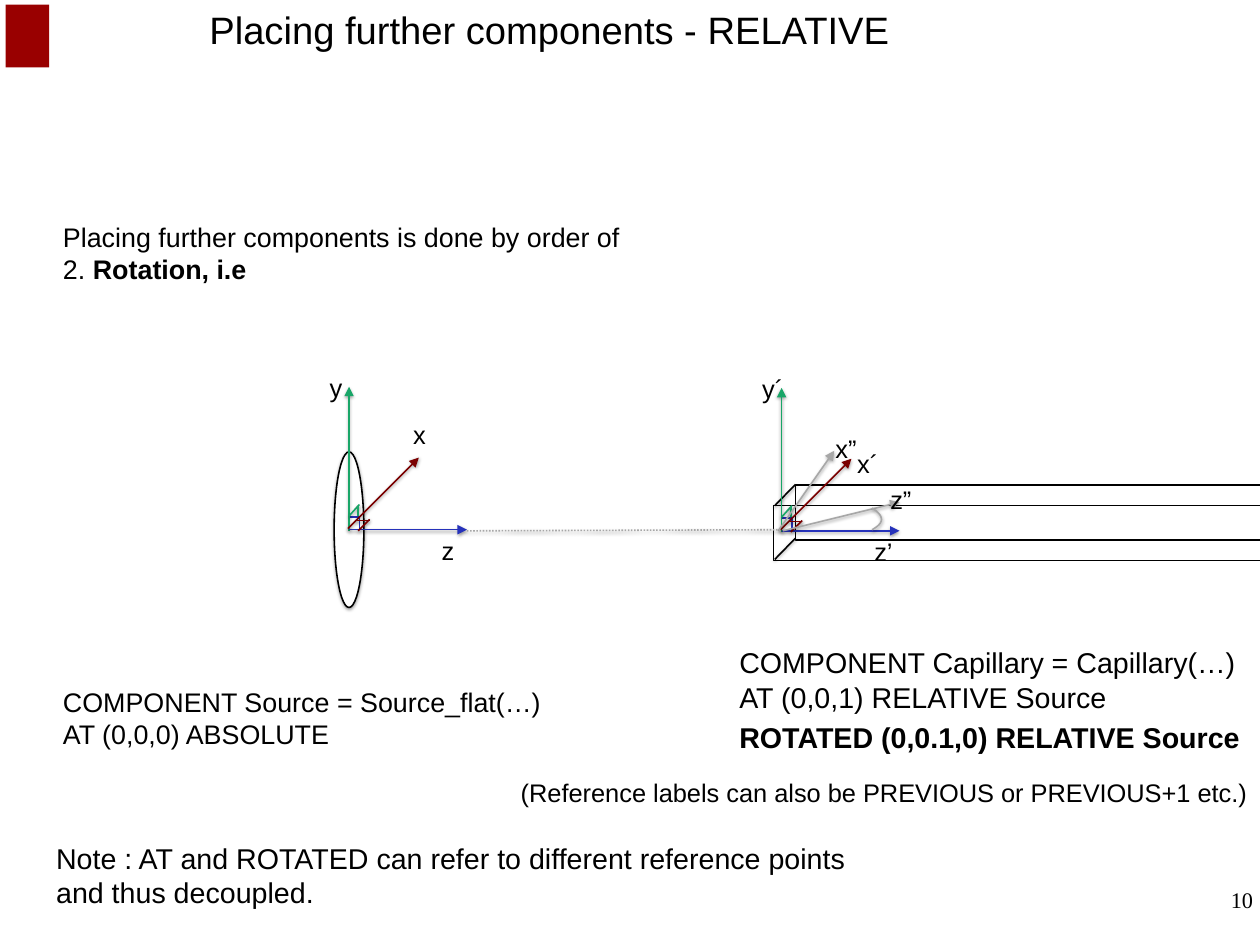
"""Build the slide on placing components relative to a source."""
from pptx import Presentation
from pptx import util as u
from pptx.dml.color import RGBColor
from pptx.enum import dml, shapes, text
from pptx.oxml import parse_xml
from pptx.oxml.ns import nsdecls, qn

CELL = u.Inches(0.01)
COLUMNS, ROWS = 1101, 826
BLACK, WHITE, GREY = "000000", "FFFFFF", "A7A7A7"
GREEN, BLUE, RED = "19A668", "2632BB", "7A0000"
colour = RGBColor.from_string

presentation = Presentation()
presentation.slide_width = COLUMNS * CELL
presentation.slide_height = ROWS * CELL
slide = presentation.slides.add_slide(presentation.slide_layouts[1])
shadowed = []


def write(shape, wording, size, wrap=False, margin=0, font="Arial"):
    """Fill a shape with plain text and return its frame."""
    frame = shape.text_frame
    frame.text = wording
    frame.word_wrap = wrap
    frame.auto_size = text.MSO_AUTO_SIZE.NONE
    frame.margin_left = frame.margin_right = margin * CELL
    frame.margin_top = frame.margin_bottom = margin * CELL
    for paragraph in frame.paragraphs:
        for run in paragraph.runs:
            run.font.size = u.Pt(size)
            run.font.name = font
            run.font.color.rgb = colour(BLACK)
    return frame


def draw_line(start, end, stroke, arrow=False, dash=None):
    """Draw a shadowed line between two grid points."""
    line = slide.shapes.add_connector(
        shapes.MSO_CONNECTOR.STRAIGHT, *(n * CELL for n in (*start, *end)))
    line.line.color.rgb = colour(stroke)
    line.line.width = u.Pt(1)
    if dash:
        line.line.dash_style = dash
    if arrow:
        outline = line.element.spPr.find(qn("a:ln"))
        outline.append(parse_xml(f'<a:tailEnd type="triangle" {nsdecls("a")}/>'))
    shadowed.append(line)


title = slide.shapes.title
title.left, title.top, title.width, title.height = (n * CELL for n in (157, -4, 646, 59))
frame = write(title, "Placing further components - RELATIVE", 24, wrap=True)
frame.vertical_anchor = text.MSO_ANCHOR.MIDDLE
frame.paragraphs[0].alignment = text.PP_ALIGN.CENTER

body = slide.placeholders[1]
body.left, body.top, body.width, body.height = (n * CELL for n in (55, 193, 992, 479))
frame = write(body, "Placing further components is done by order of\v2. Rotation, i.e\n"
              "COMPONENT Source = Source_flat(…)\vAT (0,0,0) ABSOLUTE", 16.9, wrap=True)
for paragraph, gap in zip(frame.paragraphs, (0, 252)):
    properties = paragraph._p.get_or_add_pPr()
    properties.set("marL", "0")
    properties.set("indent", "0")
    properties.append(parse_xml(f'<a:buNone {nsdecls("a")}/>'))
    paragraph.space_before = u.Pt(gap)
numbered = frame.paragraphs[0].runs[1]
numbered.text = "2. "
rotation = frame.paragraphs[0].add_run()
rotation.text = "Rotation, i.e"
rotation.font.size, rotation.font.name, rotation.font.bold = u.Pt(16.9), "Arial", True
rotation.font.color.rgb = colour(BLACK)

RECTANGLE, OVAL = shapes.MSO_SHAPE.RECTANGLE, shapes.MSO_SHAPE.OVAL
outlines = [
    (RECTANGLE, (5, 4, 38, 55), "990000", None),
    (RECTANGLE, (695, 424, 514, 48), WHITE, BLACK),
    (RECTANGLE, (676, 442, 514, 48), None, BLACK),
    (OVAL, (292, 395, 26, 136), WHITE, BLACK),
    (RECTANGLE, (305, 452, 9, 11), None, BLUE),
    (RECTANGLE, (683, 453, 9, 11), None, BLUE),
]
for kind, place, fill, stroke in outlines:
    shape = slide.shapes.add_shape(kind, *(n * CELL for n in place))
    shape.shadow.inherit = False
    if fill:
        shape.fill.solid()
        shape.fill.fore_color.rgb = colour(fill)
    else:
        shape.fill.background()
    if stroke:
        shape.line.color.rgb = colour(stroke)
        shape.line.width = u.Pt(1)
    else:
        shape.line.fill.background()
    if kind == OVAL:
        shadowed.append(shape)

for bottom in (442, 489):
    draw_line((677, bottom), (695, bottom - 18.5), BLACK)

axis_lines = [
    ((0, 0), (0, -126), GREEN, True),
    ((0, -1), (103, -1), BLUE, True),
    ((-1, -2), (61, -64), RED, True),
    ((6, -9), (18, -9), RED, False),
    ((8, 0), (18, -10), RED, False),
    ((0, -13), (9, -23), GREEN, False),
    ((8, -13), (8, -22), GREEN, False),
]
for x, y in ((305, 464), (683, 465)):
    for (x1, y1), (x2, y2), stroke, arrow in axis_lines:
        draw_line((x + x1, y + y1), (x + x2, y + y2), stroke, arrow)

draw_line((680, 464), (729, 394), GREY, arrow=True)
draw_line((684, 464), (786, 439), GREY, arrow=True)
draw_line((408, 464), (682, 463), GREY, dash=dml.MSO_LINE.ROUND_DOT)

STEPS = 16
arc = []
for step in range(STEPS + 1):
    t = step / STEPS
    bulge = 3 * t * (1 - t)
    arc.append(((762 + 11 * bulge) * CELL,
                (444 * (1 - t) ** 3 + bulge * (451 * (1 - t) + 457 * t) + 463 * t ** 3) * CELL))
builder = slide.shapes.build_freeform(*arc[0])
builder.add_line_segments(arc[1:], close=False)
angle = builder.convert_to_shape()
angle.fill.background()
angle.line.color.rgb = colour(GREY)
angle.line.width = u.Pt(1)
shadowed.append(angle)

for shape in shadowed:
    for effects in shape.element.spPr.findall(qn("a:effectLst")):
        shape.element.spPr.remove(effects)
    shape.element.spPr.append(parse_xml(
        f'<a:effectLst {nsdecls("a")}><a:outerShdw blurRad="25400" dist="12700" dir="5400000">'
        '<a:srgbClr val="000000"><a:alpha val="38000"/></a:srgbClr></a:outerShdw></a:effectLst>'))

labels = [
    ("x", 361, 366, 14), ("y", 288, 325, 14), ("z", 386, 468, 14),
    ("x´", 749, 392, 20), ("y´", 666, 326, 20), ("z’", 764, 469, 17),
    ("x”", 730, 379, 20), ("z”", 778, 423, 20),
    ("(Reference labels can also be PREVIOUS or PREVIOUS+1 etc.)", 455, 679, 638),
]
for wording, left, top, width in labels:
    write(slide.shapes.add_textbox(left * CELL, top * CELL, width * CELL, 24 * CELL), wording, 16)

capillary = slide.shapes.add_textbox(646 * CELL, 564 * CELL, 439 * CELL, 93 * CELL)
frame = write(capillary, "COMPONENT Capillary = Capillary(…)\vAT (0,0,1) RELATIVE Source\n"
              "ROTATED (0,0.1,0) RELATIVE Source", 18)
rotated = frame.paragraphs[1]
rotated.space_before = u.Pt(4)
rotated.runs[0].font.bold = True

note = slide.shapes.add_textbox(44 * CELL, 730 * CELL, 738 * CELL, 67 * CELL)
write(note, "Note : AT and ROTATED can refer to different reference points and thus decoupled.",
      18, wrap=True, margin=5)

number = slide.shapes.add_textbox(838 * CELL, 775 * CELL, 257 * CELL, 44 * CELL)
frame = write(number, "10", 14, wrap=True, font="Times New Roman")
frame.paragraphs[0].alignment = text.PP_ALIGN.RIGHT

presentation.save("out.pptx")
